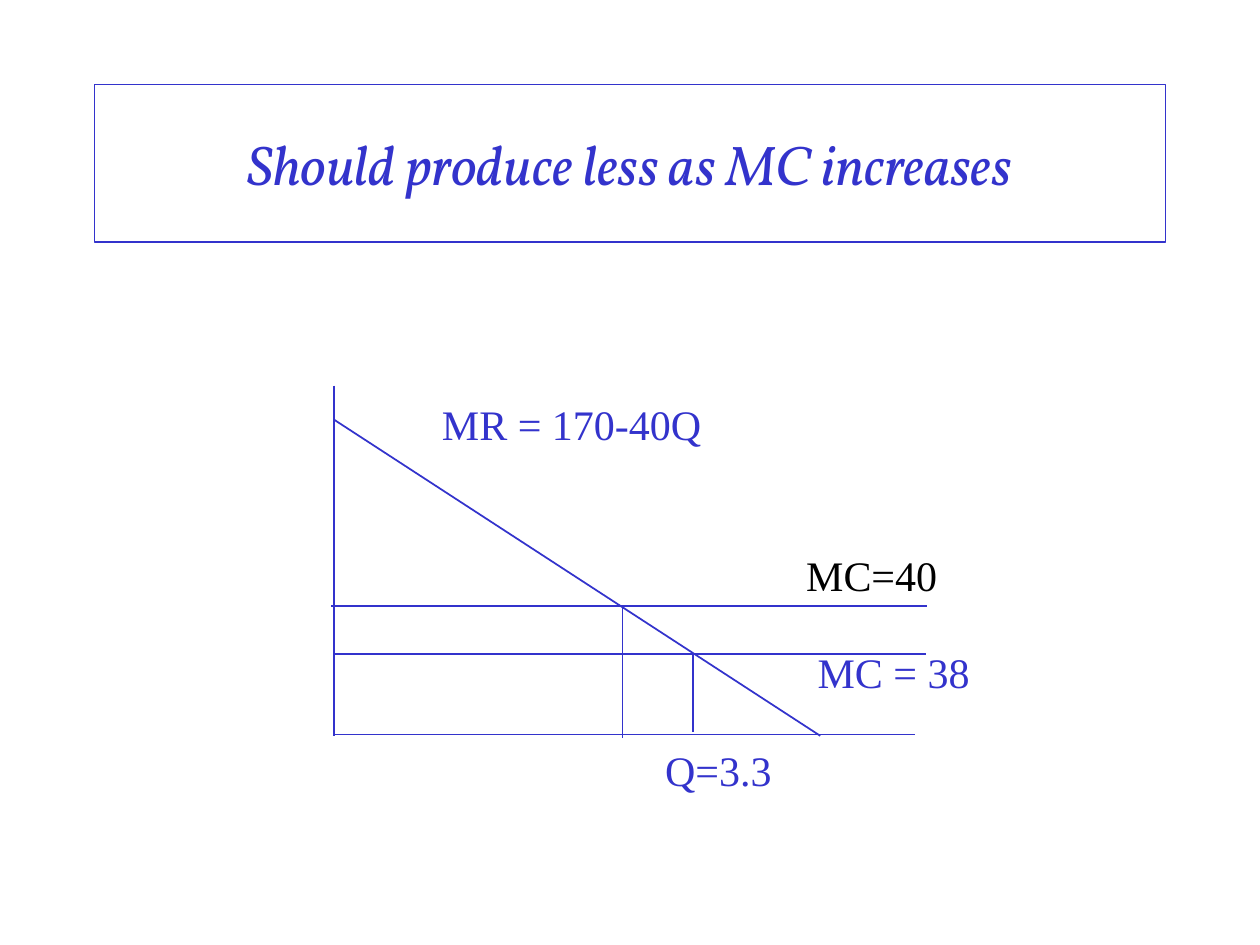
import typing
import pptx
import pptx.util
import pptx.dml.color
import pptx.enum.shapes
import pptx.enum.text
import pptx.oxml.ns
import lxml.etree

BLUE, BLACK = "3333CC", "000000"
SERIF, TITLE = "Times New Roman", "Vollkorn"

# The slide is a grid of 100 columns by 75 rows
CELL = pptx.util.Inches(0.1)


class Line(typing.NamedTuple):
    x1: float
    y1: float
    x2: float
    y2: float
    width: float = 0.75


class Label(typing.NamedTuple):
    text: str
    x: float
    y: float
    w: float
    h: float
    color: str = BLUE


def grid(count: float) -> int:
    return round(count * CELL)


def paint(code: str) -> pptx.dml.color.RGBColor:
    return pptx.dml.color.RGBColor.from_string(code)


def write(slide, text: str, x: float, y: float, w: float, h: float, *,
          font: str = SERIF, size: float = 24, color: str = BLUE,
          italic: bool = False, center: bool = False):
    """Add a text box and return it."""
    box = slide.shapes.add_textbox(grid(x), grid(y), grid(w), grid(h))
    frame = box.text_frame
    frame.word_wrap = True
    part = frame.paragraphs[0]
    if center:
        frame.vertical_anchor = pptx.enum.text.MSO_ANCHOR.MIDDLE
        part.alignment = pptx.enum.text.PP_ALIGN.CENTER
    run = part.add_run()
    run.text = text
    run.font.name = font
    run.font.size = pptx.util.Pt(size)
    run.font.italic = italic
    run.font.color.rgb = paint(color)
    return box


def draw(slide, line: Line) -> None:
    """Add a straight line without a shadow."""
    link = slide.shapes.add_connector(
        pptx.enum.shapes.MSO_CONNECTOR.STRAIGHT,
        grid(line.x1), grid(line.y1), grid(line.x2), grid(line.y2))
    link.line.color.rgb = paint(BLUE)
    link.line.width = pptx.util.Pt(line.width)
    props = link._element.spPr
    lxml.etree.SubElement(props, pptx.oxml.ns.qn("a:effectLst"))


# Shared places in the graph
LEFT, BASE = 26.5, 58.3
HIGH, LOW = 48.1, 51.9

LINES = [
    Line(LEFT, 30.6, LEFT, 58.4),          # price axis
    Line(LEFT, BASE, 72.6, BASE),          # quantity axis
    Line(LEFT, LOW, 73.5, LOW),            # old marginal cost
    Line(LEFT, 33.3, 65.1, 58.4, 1),       # marginal revenue
    Line(55, LOW, 55, 58.1),               # old quantity
    Line(26.3, HIGH, 73.6, HIGH),          # new marginal cost
    Line(49.4, HIGH, 49.4, 58.6),          # new quantity
]

LABELS = [
    Label("MR = 170-40Q", 34.1, 31.1, 42, 6.3),
    Label("MC = 38", 63.9, 50.8, 14.9, 5.4),
    Label("Q=3.3", 51.8, 58.6, 20.1, 7.2),
    Label("MC=40", 63, 43.1, 15.5, 5, BLACK),
]


def main() -> None:
    deck = pptx.Presentation()
    deck.slide_width, deck.slide_height = grid(100), grid(75)
    slide = deck.slides.add_slide(deck.slide_layouts[6])

    # Framed title
    title = write(slide, "Should produce less as MC increases",
                  7.5, 6.7, 85, 12.5, font=TITLE, size=32,
                  italic=True, center=True)
    title.line.color.rgb = paint(BLUE)
    title.line.width = pptx.util.Pt(0.75)

    # Graph
    for line in LINES:
        draw(slide, line)
    for label in LABELS:
        write(slide, *label[:5], color=label.color)

    deck.save("out.pptx")


if __name__ == "__main__":
    main()
